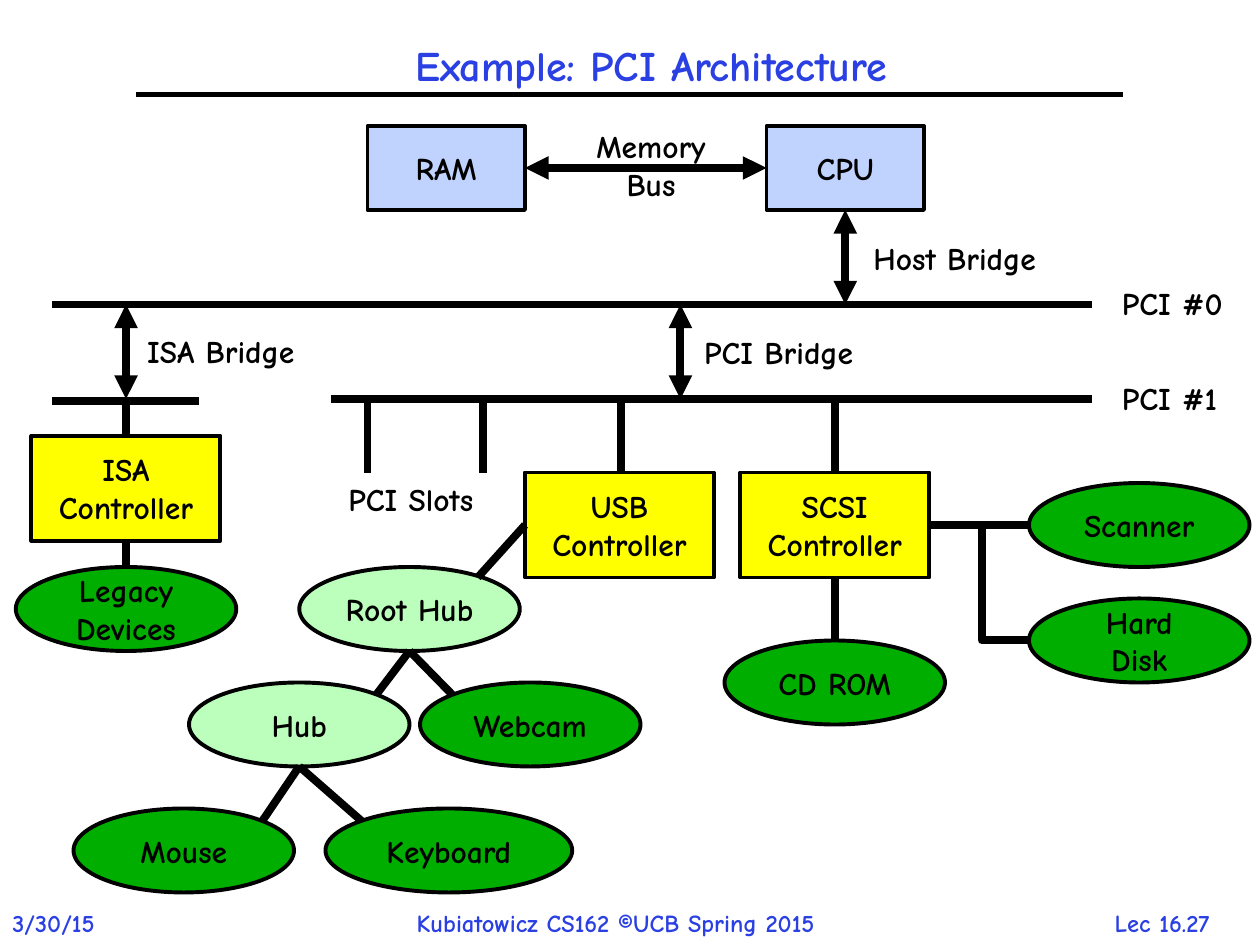
"""Build the PCI architecture slide."""
from dataclasses import dataclass

from lxml.etree import SubElement
from pptx import Presentation
from pptx.dml.color import RGBColor
from pptx.enum.shapes import MSO_CONNECTOR as Connector, MSO_SHAPE as Shape
from pptx.enum.text import MSO_ANCHOR as Anchor, MSO_AUTO_SIZE as AutoSize, PP_ALIGN as Align
from pptx.oxml.ns import qn
from pptx.util import Pt


@dataclass(frozen=True)
class Theme:
    """Colours, type sizes and line widths of the slide."""
    font: str = "Comic Neue"
    ink: str = "000000"
    accent: str = "2A40E2"
    processor: str = "C0D2FE"
    controller: str = "FFFF00"
    hub: str = "BCFFBC"
    device: str = "00AE00"
    title_size: float = 24
    label_size: float = 18
    footer_size: float = 14
    outline: float = 2.25
    rule: float = 3
    wire: float = 4.5


@dataclass(frozen=True)
class Box:
    """A region in points whose parts are placed from its top left corner."""
    left: float
    top: float
    width: float
    height: float

    def inner(self, x, y, width, height):
        """Return the box at an offset inside this one."""
        return Box(self.left + x, self.top + y, width, height)

    def lengths(self):
        """Return the position and size as lengths."""
        return [Pt(value) for value in (self.left, self.top, self.width, self.height)]


THEME = Theme()
DEVICE_WIDTH, DEVICE_HEIGHT = 126, 48
CONTROLLER_WIDTH, CONTROLLER_HEIGHT = 108, 60


def write_text(shape, text, size=THEME.label_size, color=THEME.ink, align=Align.CENTER,
               anchor=Anchor.MIDDLE, wrap=True, spacing=None):
    """Fill a shape with formatted bold text."""
    frame = shape.text_frame
    frame.word_wrap = wrap
    frame.auto_size = AutoSize.NONE if wrap else AutoSize.SHAPE_TO_FIT_TEXT
    frame.vertical_anchor = anchor
    paragraph = frame.paragraphs[0]
    paragraph.text = text.replace("\n", "\v")
    paragraph.alignment = align
    if spacing:
        paragraph.line_spacing = spacing
    for run in paragraph.runs:
        run.font.name, run.font.size, run.font.bold = THEME.font, Pt(size), True
        run.font.color.rgb = RGBColor.from_string(color)


def add_label(slide, box, text, align=Align.LEFT, **text_format):
    """Add an unwrapped text box."""
    shape = slide.shapes.add_textbox(*box.lengths())
    write_text(shape, text, align=align, anchor=Anchor.TOP, wrap=False, **text_format)


def add_node(slide, box, text, fill, kind=Shape.OVAL):
    """Add an outlined component with its name."""
    shape = slide.shapes.add_shape(kind, *box.lengths())
    shape.shadow.inherit = False
    shape.fill.solid()
    shape.fill.fore_color.rgb = RGBColor.from_string(fill)
    shape.line.color.rgb = RGBColor.from_string(THEME.ink)
    shape.line.width = Pt(THEME.outline)
    write_text(shape, text)


def add_device(slide, box, x, y, text, fill=THEME.device, width=DEVICE_WIDTH):
    """Add a device or hub ellipse."""
    add_node(slide, box.inner(x, y, width, DEVICE_HEIGHT), text, fill)


def add_controller(slide, box, x, y, text):
    """Add a controller rectangle."""
    place = box.inner(x, y, CONTROLLER_WIDTH, CONTROLLER_HEIGHT)
    add_node(slide, place, text, THEME.controller, Shape.RECTANGLE)


def add_line(slide, box, x1, y1, x2, y2, width=THEME.wire, arrows=False,
             kind=Connector.STRAIGHT):
    """Add a line, with an arrowhead at both ends if asked."""
    ends = (box.left + x1, box.top + y1, box.left + x2, box.top + y2)
    line = slide.shapes.add_connector(kind, *(Pt(value) for value in ends))
    line.line.width = Pt(width)
    line.line.color.rgb = RGBColor.from_string(THEME.ink)
    properties = line._element.spPr
    if arrows:
        for end in ("a:headEnd", "a:tailEnd"):
            SubElement(properties.find(qn("a:ln")), qn(end), type="triangle")
    SubElement(properties, qn("a:effectLst"))
    return line


def add_elbow(slide, box, x1, y1, x2, y2):
    """Add a wire that goes down and then right."""
    middle_x, middle_y = (x1 + x2) / 2, (y1 + y2) / 2
    half_across, half_down = (x2 - x1) / 2, (y2 - y1) / 2
    wire = add_line(slide, box, middle_x + half_down, middle_y - half_across,
                    middle_x - half_down, middle_y + half_across, kind=Connector.ELBOW)
    properties = wire._element.spPr
    properties.find(qn("a:xfrm")).set("rot", str(270 * 60000))
    properties.find(qn("a:prstGeom")).set("prst", "bentConnector2")


def add_header(slide, box):
    """Place the title and the rule below it."""
    add_line(slide, box, 0, 36, box.width, 36, width=THEME.rule)
    title = slide.shapes.add_textbox(*box.inner(12, 0, box.width, box.height).lengths())
    write_text(title, "Example: PCI Architecture", size=THEME.title_size,
               color=THEME.accent, spacing=0.9)


def add_processor(slide, box):
    """Place the memory, the processor and the bus between them."""
    for x, text in ((0, "RAM"), (box.width - 90, "CPU")):
        add_node(slide, box.inner(x, 0, 90, 48), text, THEME.processor, Shape.RECTANGLE)
    add_line(slide, box, 90, 24, box.width - 90, 24, arrows=True)
    add_label(slide, box.inner(120, -3, 84, 51), "Memory\nBus", align=Align.CENTER)


def add_buses(slide, box):
    """Place both PCI buses, their bridges and the empty slots."""
    for y, start, name in ((54, 0, "PCI #0"), (108, 159, "PCI #1")):
        add_line(slide, box, 594, y, start, y)
        add_label(slide, box.inner(604, y - 15, 80, 29), name)
    for x, y, gap, text, width in ((453, 0, 9, "Host Bridge", 120),
                                   (358.8, 54, 6.5, "PCI Bridge", 109)):
        add_line(slide, box, x, y, x, y + 54, arrows=True)
        add_label(slide, box.inner(x + gap, y + 13, width, 29), text)
    for x in (180, 246):
        add_line(slide, box, x, 150, x, 108)
    add_label(slide, box.inner(162, 151, 98, 29), "PCI Slots")


def add_isa(slide, box):
    """Place the ISA bridge, its bus, controller and devices."""
    center = box.width / 2
    add_line(slide, box, center, 0, center, 54, arrows=True)
    add_label(slide, box.inner(center + 5, 12, 114, 29), "ISA Bridge")
    add_line(slide, box, center - 42, 55, center + 42, 55)
    add_controller(slide, box, center - CONTROLLER_WIDTH / 2, 75, "ISA\nController")
    add_line(slide, box, center, 55, center, 75)
    add_line(slide, box, center, 135, center, 154)
    add_device(slide, box, 0, 150, "Legacy\nDevices")


def add_usb(slide, box):
    """Place the USB controller and its tree of hubs and devices."""
    add_controller(slide, box, 258, 42, "USB\nController")
    add_line(slide, box, 313, 43, 313, 1)
    add_device(slide, box, 129, 96, "Root Hub", THEME.hub)
    add_device(slide, box, 66, 162, "Hub", THEME.hub)
    add_device(slide, box, 198, 162, "Webcam")
    add_device(slide, box, 0, 234, "Mouse")
    add_device(slide, box, 144, 234, "Keyboard", width=141)
    for wire in ((258, 72, 231, 102), (192, 144, 173, 169), (192, 144, 216.5, 169),
                 (129, 210, 108, 241), (129, 210, 164.5, 241)):
        add_line(slide, box, *wire)


def add_scsi(slide, box):
    """Place the SCSI controller and its devices."""
    center = 9 + CONTROLLER_WIDTH / 2
    add_controller(slide, box, 9, 42, "SCSI\nController")
    for y, text in ((48, "Scanner"), (114, "Hard Disk")):
        add_device(slide, box, box.width - DEVICE_WIDTH, y, text)
    add_device(slide, box, 0, 138, "CD ROM")
    add_line(slide, box, center, 42, center, 1)
    add_line(slide, box, center, 102, center, 138)
    add_line(slide, box, 117, 72, 174, 72)
    add_elbow(slide, box, 147, 72, 174, 138)


def add_footer(slide, box):
    """Place the date, the credit and the page number."""
    for x, width, text, align in ((0, 72, "3/30/15", Align.LEFT),
                                  (231, 279, "Kubiatowicz CS162 ©UCB Spring 2015", Align.LEFT),
                                  (616, 96, "Lec 16.27", Align.CENTER)):
        add_label(slide, box.inner(x, 0, width, box.height), text, align=align,
                  size=THEME.footer_size, color=THEME.accent)


def main():
    """Build and save the slide."""
    presentation = Presentation()
    presentation.slide_width, presentation.slide_height = Pt(720), Pt(540)
    slide = presentation.slides.add_slide(presentation.slide_layouts[6])
    add_header(slide, Box(78, 18, 564, 42))
    add_processor(slide, Box(210, 72, 318, 48))
    add_buses(slide, Box(30, 120, 684, 180))
    add_isa(slide, Box(9, 174, 126, 198))
    add_usb(slide, Box(42, 228, 366, 282))
    add_scsi(slide, Box(414, 228, 300, 186))
    add_footer(slide, Box(0, 515.5, 720, 24))
    presentation.save("out.pptx")


if __name__ == "__main__":
    main()
